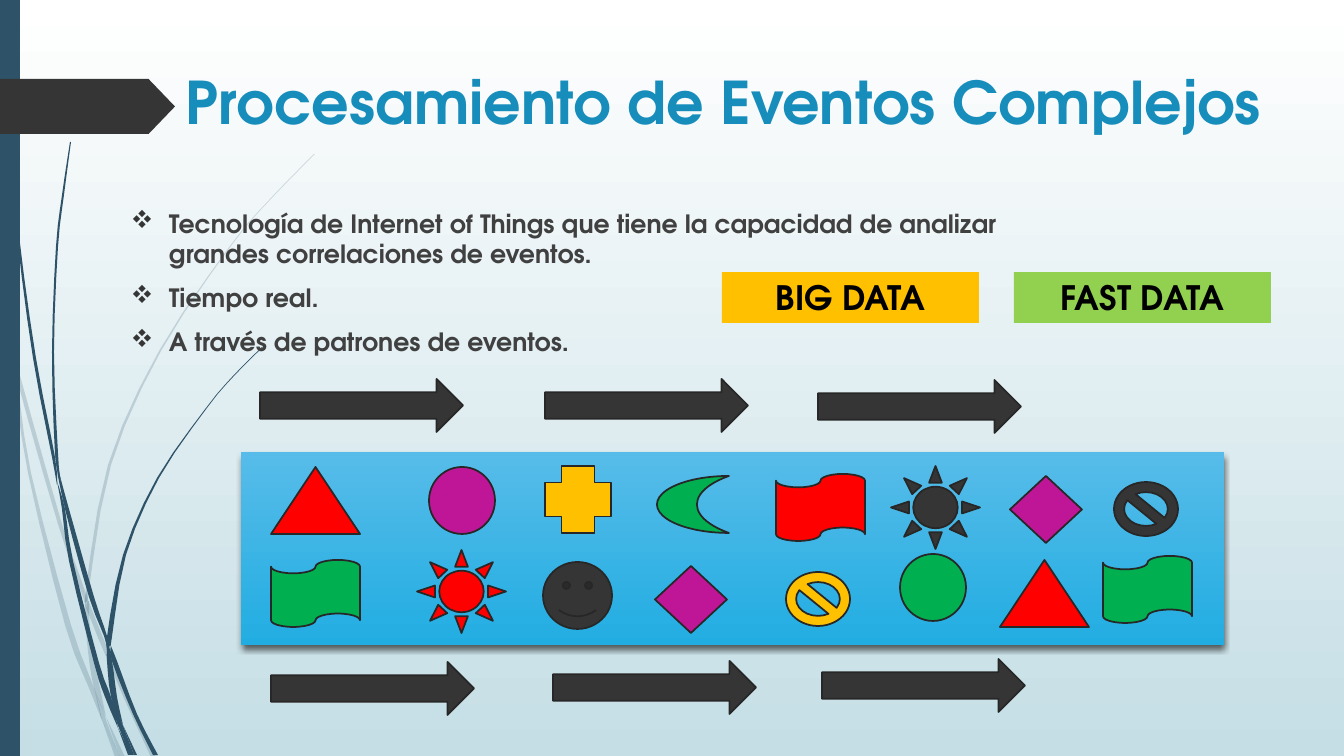
from dataclasses import dataclass

from lxml.etree import SubElement
from pptx import Presentation
from pptx.dml.color import RGBColor
from pptx.enum.shapes import MSO_SHAPE
from pptx.enum.text import MSO_ANCHOR, PP_ALIGN
from pptx.oxml.ns import qn
from pptx.util import Pt

EMU_PER_PIXEL = 914400 / 100.8


def px(length):
    return round(length * EMU_PER_PIXEL)


@dataclass(frozen=True)
class Theme:
    font: str = "TeX Gyre Adventor"
    bullet_font: str = "Wingdings"
    navy: str = "2E5369"
    charcoal: str = "353535"
    outline: str = "272727"
    title: str = "178DBB"
    body: str = "404040"
    black: str = "000000"
    red: str = "FF0000"
    purple: str = "BF1698"
    green: str = "00B050"
    amber: str = "FFC000"
    lime: str = "92D050"
    sky: tuple = ("FFFFFF", "C5DEE5")
    stream: tuple = ("57BCE9", "22ADE2")
    title_size: int = 42
    label_size: int = 24
    body_size: int = 18
    line_width: float = 1.25


theme = Theme()


def write(frame, text, *, size, color, align=PP_ALIGN.LEFT, anchor=MSO_ANCHOR.TOP,
          before=0, bullet=None, indent=0):
    frame.word_wrap = True
    frame.vertical_anchor = anchor
    frame.text = text
    for paragraph in frame.paragraphs:
        paragraph.alignment = align
        paragraph.space_before = Pt(before)
        font = paragraph.runs[0].font
        font.name = theme.font
        font.size = Pt(size)
        font.bold = True
        font.color.rgb = RGBColor.from_string(color)
        if bullet:
            properties = paragraph._p.get_or_add_pPr()
            properties.set("marL", str(px(indent)))
            properties.set("indent", str(-px(indent)))
            tint = SubElement(properties, qn("a:buClr"))
            SubElement(tint, qn("a:srgbClr"), val=theme.charcoal)
            SubElement(properties, qn("a:buFont"), typeface=theme.bullet_font,
                       pitchFamily="2", charset="2")
            SubElement(properties, qn("a:buChar"), char=bullet)


def smooth_rows(rows, steps=3):
    padded = [rows[0], *rows, rows[-1]]
    for a, b, c, d in zip(padded, padded[1:], padded[2:], padded[3:]):
        for step in range(steps):
            t = step / steps
            yield tuple(
                q + t / 2 * (r - p + t * (2 * p - 5 * q + 4 * r - s + t * (3 * (q - r) + s - p)))
                for p, q, r, s in zip(a, b, c, d))
    yield rows[-1]


class Canvas:
    def __init__(self, slide, theme):
        self.slide = slide
        self.theme = theme

    def gradient(self, fill, colors):
        fill.gradient()
        fill.gradient_angle = 270
        for stop, color in zip(fill.gradient_stops, colors):
            stop.color.rgb = RGBColor.from_string(color)

    def paint(self, shape, color, outlined=False, opacity=100):
        shape.shadow.inherit = False
        if isinstance(color, tuple):
            self.gradient(shape.fill, color)
        else:
            shape.fill.solid()
            shape.fill.fore_color.rgb = RGBColor.from_string(color)
        if opacity < 100:
            tint = shape._element.spPr.find(qn("a:solidFill"))[0]
            SubElement(tint, qn("a:alpha"), val=str(opacity * 1000))
        if outlined:
            shape.line.color.rgb = RGBColor.from_string(self.theme.outline)
            shape.line.width = Pt(self.theme.line_width)
        else:
            shape.line.fill.background()

    def shape(self, kind, left, top, width, height, color, outlined=False):
        shape = self.slide.shapes.add_shape(kind, px(left), px(top), px(width), px(height))
        self.paint(shape, color, outlined)
        return shape

    def strand(self, rows, opacity):
        rows = list(smooth_rows(rows))
        edge = [(px(left), px(y)) for y, left, right in rows]
        edge += [(px(right), px(y)) for y, left, right in reversed(rows)]
        builder = self.slide.shapes.build_freeform(*edge[0], scale=1.0)
        builder.add_line_segments(edge[1:], close=True)
        self.paint(builder.convert_to_shape(), self.theme.navy, opacity=opacity)

    def drop_shadow(self, shape, blur, distance, opacity):
        effects = shape._element.spPr.find(qn("a:effectLst"))
        shadow = SubElement(effects, qn("a:outerShdw"), blurRad=str(Pt(blur)),
                            dist=str(Pt(distance)), dir="5400000", rotWithShape="0")
        tint = SubElement(shadow, qn("a:srgbClr"), val=self.theme.black)
        SubElement(tint, qn("a:alpha"), val=str(opacity * 1000))

    def text(self, left, top, width, height, text, **style):
        box = self.slide.shapes.add_textbox(px(left), px(top), px(width), px(height))
        write(box.text_frame, text, **style)

    def label(self, left, top, width, height, text, color):
        label = self.shape(MSO_SHAPE.RECTANGLE, left, top, width, height, color)
        write(label.text_frame, text, size=self.theme.label_size, color=self.theme.black,
              align=PP_ALIGN.CENTER, anchor=MSO_ANCHOR.MIDDLE)


deck = Presentation()
deck.slide_width, deck.slide_height = px(1344), px(756)
canvas = Canvas(deck.slides.add_slide(deck.slide_layouts[6]), theme)
canvas.gradient(canvas.slide.background.fill, theme.sky)

pale_strands = [
    [(284, 0, 0), (301, 0, 4), (325, 5, 9), (353, 11, 11)],
    [(348, 14, 14), (379, 17, 21), (524, 58, 62), (591, 81, 85), (604, 85, 85)],
    [(601, 89, 89), (615, 89, 94), (698, 124, 128), (757, 151, 156)],
    [(717, 106, 106), (757, 120, 125)],
    [(353, 11, 11), (379, 14, 17), (473, 28, 31), (625, 65, 71), (688, 89, 94), (720, 102, 102)],
    [(604, 85, 85), (615, 85, 89), (651, 88, 92), (688, 94, 100), (717, 106, 106)],
    [(154, 314, 315), (199, 270, 271), (246, 230, 231), (351, 159, 161), (465, 108, 111),
     (589, 86, 89), (601, 89, 89)],
    [(720, 102, 102), (757, 115, 120)],
    [(591, 86, 86), (604, 85, 89), (615, 89, 89)],
    [(688, 94, 94), (713, 100, 104), (720, 102, 106), (757, 120, 120)],
]
dark_strands = [
    [(0, 3, 4), (110, 7, 8), (235, 17, 19), (358, 33, 36), (457, 52, 55), (485, 57, 57)],
    [(476, 60, 60), (509, 65, 69), (597, 89, 94), (636, 104, 107), (650, 107, 107)],
    [(646, 111, 111), (661, 112, 117), (714, 133, 137), (755, 153, 158)],
    [(481, 57, 57), (509, 62, 65), (561, 69, 73), (663, 94, 99), (697, 105, 111), (728, 118, 118)],
    [(142, 70, 71), (195, 62, 64), (247, 56, 58), (352, 52, 54), (453, 55, 58), (476, 60, 60)],
    [(725, 123, 123), (755, 134, 137)],
    [(453, 55, 55), (476, 58, 60), (509, 65, 65)],
    [(347, 262, 263), (376, 233, 234), (408, 206, 207), (478, 157, 159), (555, 123, 126),
     (637, 107, 112), (646, 111, 111)],
    [(728, 118, 118), (755, 128, 132)],
    [(650, 107, 107), (661, 107, 112), (697, 111, 117), (725, 123, 123)],
    [(636, 107, 107), (650, 107, 110), (661, 112, 112)],
    [(697, 111, 111), (723, 117, 122), (755, 131, 134)],
]
for strands, opacity in ((pale_strands, 20), (dark_strands, 100)):
    for strand in strands:
        canvas.strand(strand, opacity)

canvas.shape(MSO_SHAPE.RECTANGLE, 0, 0, 20, 756, theme.navy)
title_tag = canvas.shape(MSO_SHAPE.PENTAGON, 0, 79, 175, 55, theme.charcoal)
title_tag.adjustments[0] = 0.48

canvas.text(176, 61, 1113, 141, "Procesamiento de Eventos Complejos",
            size=theme.title_size, color=theme.title)
benefits = [
    "Tecnología de Internet of Things que tiene la capacidad de analizar "
    "grandes correlaciones de eventos.",
    "Tiempo real.",
    "A través de patrones de eventos.",
]
canvas.text(121, 203, 975, 444, "\n".join(benefits), size=theme.body_size, color=theme.body,
            before=10, bullet="v", indent=38)

event_stream = canvas.shape(MSO_SHAPE.RECTANGLE, 241, 452, 983, 193, theme.stream)
canvas.drop_shadow(event_stream, blur=4, distance=3, opacity=60)

event_kinds = {
    "triangle": (MSO_SHAPE.ISOSCELES_TRIANGLE, 89, 67),
    "circle": (MSO_SHAPE.OVAL, 66, 67),
    "smiley": (MSO_SHAPE.SMILEY_FACE, 69, 67),
    "flag": (MSO_SHAPE.FLOWCHART_PUNCHED_TAPE, 89, 67),
    "sun": (MSO_SHAPE.SUN, 89, 83),
    "diamond": (MSO_SHAPE.FLOWCHART_DECISION, 72, 67),
    "ban": (MSO_SHAPE.NO_SYMBOL, 64, 54),
    "cross": (MSO_SHAPE.CROSS, 66, 67),
    "moon": (MSO_SHAPE.MOON, 72, 57),
}
events = [
    ("triangle", 271, 467, theme.red), ("circle", 429, 467, theme.purple),
    ("smiley", 543, 562, theme.charcoal), ("flag", 271, 560, theme.green),
    ("sun", 417, 550, theme.red), ("diamond", 655, 566, theme.purple),
    ("ban", 786, 572, theme.amber), ("triangle", 1000, 560, theme.red),
    ("circle", 900, 554, theme.green), ("cross", 545, 466, theme.amber),
    ("flag", 776, 474, theme.red), ("sun", 891, 466, theme.charcoal),
    ("moon", 657, 476, theme.green), ("diamond", 1010, 476, theme.purple),
    ("ban", 1114, 482, theme.charcoal), ("flag", 1103, 556, theme.green),
]
for event, left, top, color in events:
    kind, width, height = event_kinds[event]
    icon = canvas.shape(kind, left, top, width, height, color, outlined=True)
    if event == "moon":
        icon.adjustments[0] = 0.555

for left, top in ((271, 662), (818, 380), (822, 659), (553, 661), (545, 379), (260, 379)):
    canvas.shape(MSO_SHAPE.RIGHT_ARROW, left, top, 203, 53, theme.charcoal, outlined=True)

for left, name, color in ((722, "BIG DATA", theme.amber), (1014, "FAST DATA", theme.lime)):
    canvas.label(left, 272, 257, 51, name, color)

deck.save("out.pptx")
